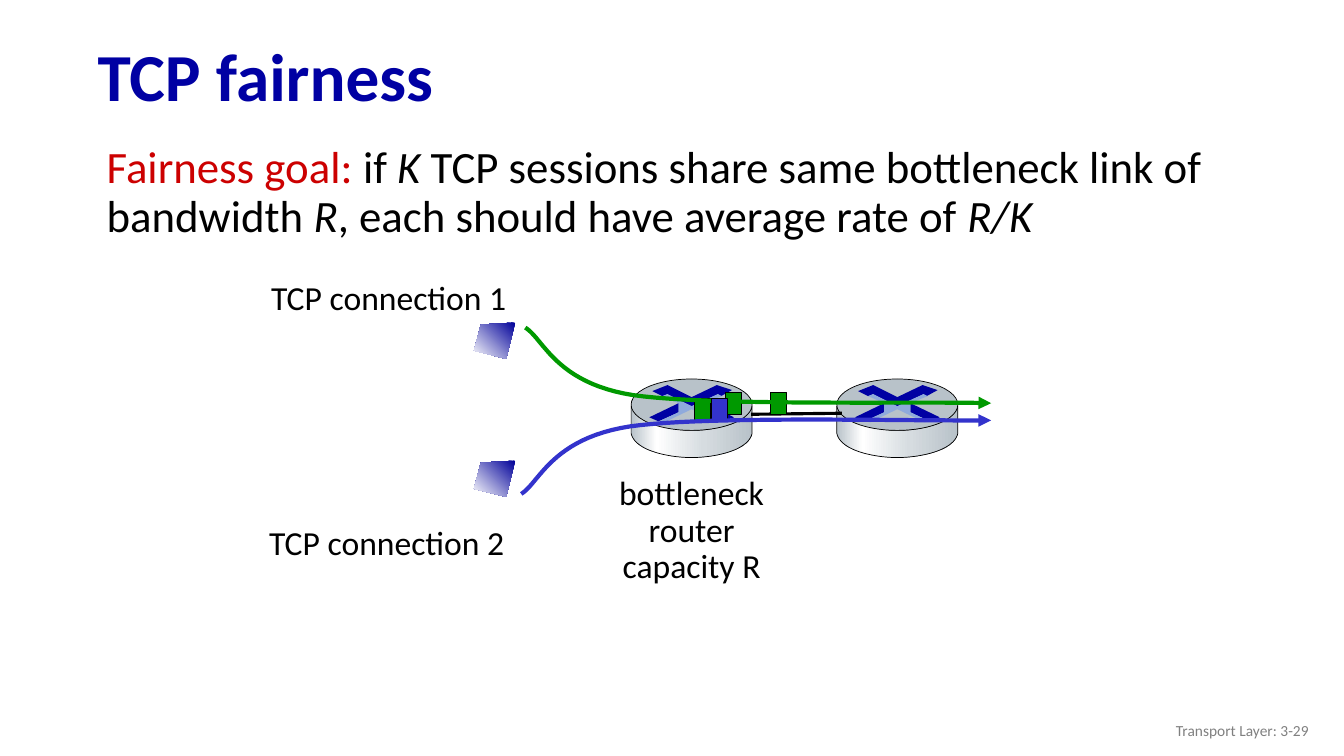
import lxml.etree
import pptx
import pptx.dml.color
import pptx.enum.shapes
import pptx.enum.text
import pptx.oxml.ns
import pptx.util

Inches = pptx.util.Inches
RGBColor = pptx.dml.color.RGBColor
Align = pptx.enum.text.PP_ALIGN
Anchor = pptx.enum.text.MSO_ANCHOR
Preset = pptx.enum.shapes.MSO_SHAPE
qn = pptx.oxml.ns.qn

BLACK = RGBColor(0x00, 0x00, 0x00)
GRAY = RGBColor(0x80, 0x80, 0x80)
NAVY = RGBColor(0x00, 0x00, 0xA3)
RED = RGBColor(0xCC, 0x00, 0x00)
GREEN = RGBColor(0x00, 0x99, 0x00)
BLUE = RGBColor(0x33, 0x33, 0xCC)
STEEL = RGBColor(0xB8, 0xC2, 0xC9)
SILVER = RGBColor(0xD6, 0xDC, 0xE0)
WHITE = RGBColor(0xFF, 0xFF, 0xFF)
SCREEN_BLUE = RGBColor(0x00, 0x00, 0x99)
PALE_BLUE = RGBColor(0x8F, 0xAA, 0xDC)

ROUTER_BODY = [(1.2, 0.27), (1.2, 0.54), (1.16, 0.72, 0.8, 0.78, 0.6, 0.78),
               (0.4, 0.78, 0.04, 0.72, 0, 0.54), (0, 0.27),
               (0.06, 0.43, 0.4, 0.51, 0.6, 0.51), (0.8, 0.51, 1.15, 0.45, 1.2, 0.27)]
ROUTER_MARKS = [
    ([(0.85, 0.06), (1.0, 0.11), (0.89, 0.17), (0.86, 0.15), (0.6, 0.27), (0.36, 0.15),
      (0.31, 0.17), (0.21, 0.12), (0.36, 0.06), (0.6, 0.18)], NAVY),
    ([(0.73, 0.24), (1.02, 0.38), (0.92, 0.42), (0.73, 0.33)], NAVY),
    ([(0.47, 0.24), (0.47, 0.33), (0.27, 0.42), (0.18, 0.38)], NAVY),
    ([(0.31, 0.17), (0.36, 0.15), (0.6, 0.27), (0.86, 0.15), (0.9, 0.17), (0.73, 0.24),
      (0.73, 0.33), (0.92, 0.42), (0.87, 0.43), (0.6, 0.3), (0.33, 0.43), (0.28, 0.42),
      (0.47, 0.33), (0.47, 0.24)], PALE_BLUE),
]
SCREEN = [(0.41, 0), (0.07, 0.02), (0, 0.28), (0.32, 0.36)]


def flatten(path, steps=24):
    """Turn points and cubic segments into a list of points."""
    points = [path[0]]
    for part in path[1:]:
        if len(part) == 2:
            points.append(part)
            continue
        corners = [points[-1], part[:2], part[2:4], part[4:]]
        for step in range(1, steps + 1):
            t = step / steps
            weights = ((1 - t) ** 3, 3 * t * (1 - t) ** 2, 3 * t * t * (1 - t), t ** 3)
            points.append(tuple(sum(w * corner[axis] for w, corner in zip(weights, corners))
                                for axis in (0, 1)))
    return points


def draw_outline(page, left, top, path, close=True):
    """Add a freeform whose path is measured from left and top."""
    points = [(Inches(left + x), Inches(top + y)) for x, y in flatten(path)]
    builder = page.shapes.build_freeform(*points[0])
    builder.add_line_segments(points[1:], close=close)
    shape = builder.convert_to_shape()
    shape.shadow.inherit = False
    return shape


def style(shape, fill, line=None, width=0.5):
    """Give a shape a solid fill and an optional line."""
    shape.shadow.inherit = False
    shape.fill.solid()
    shape.fill.fore_color.rgb = fill
    set_line(shape, line, width)


def set_line(shape, color, width):
    """Set or remove the line of a shape."""
    if color is None:
        shape.line.fill.background()
    else:
        shape.line.color.rgb = color
        shape.line.width = pptx.util.Pt(width)


def set_gradient(shape, stops, angle):
    """Fill a shape with a linear gradient of percent and colour stops."""
    shape.fill.gradient()
    shape.fill.gradient_angle = angle
    stop_list = shape.element.spPr.find(".//" + qn("a:gsLst"))
    for old in list(stop_list):
        stop_list.remove(old)
    for percent, color in stops:
        stop = lxml.etree.SubElement(stop_list, qn("a:gs"), pos=str(percent * 1000))
        lxml.etree.SubElement(stop, qn("a:srgbClr"), val=str(color))


def draw_text(page, box, paragraphs, size, align=Align.LEFT, anchor=Anchor.TOP,
              spacing=1.0, wrap=True):
    """Add a text box from paragraphs of (text, colour, bold, italic) runs."""
    frame = page.shapes.add_textbox(*map(Inches, box)).text_frame
    frame.word_wrap = wrap
    frame.vertical_anchor = anchor
    for index, spans in enumerate(paragraphs):
        para = frame.add_paragraph() if index else frame.paragraphs[0]
        para.alignment = align
        para.line_spacing = spacing
        for text, color, bold, italic in spans:
            span = para.add_run()
            span.text = text
            span.font.name = "Calibri"
            span.font.size = pptx.util.Pt(size)
            span.font.bold = bold
            span.font.italic = italic
            span.font.color.rgb = color


def plain(text, color=BLACK, bold=False, italic=False):
    """Describe one run."""
    return text, color, bold, italic


def draw_heading(page, left, top):
    """Add the title and the statement of the goal."""
    draw_text(page, (left, top, 12.46, 0.98), [[plain("TCP fairness", NAVY, bold=True)]], 48,
              anchor=Anchor.MIDDLE, spacing=0.9)
    goal = [plain("Fairness goal:", RED), plain(" if"), plain(" K ", italic=True),
            plain("TCP sessions share same bottleneck link of bandwidth "),
            plain("R", italic=True), plain(", each should have average rate of "),
            plain("R/K", italic=True)]
    draw_text(page, (left + 0.09, top + 1.09, 11.13, 1.19), [goal], 32, spacing=0.9)


def draw_router(page, left, top):
    """Add a router drawn as a cylinder with crossed arrows."""
    body = draw_outline(page, left, top, ROUTER_BODY)
    set_gradient(body, [(0, STEEL), (21, WHITE), (60, SILVER), (100, STEEL)], 0)
    set_line(body, BLACK, 0.5)
    lid = page.shapes.add_shape(Preset.OVAL, *map(Inches, (left, top, 1.2, 0.51)))
    style(lid, STEEL, BLACK)
    for path, color in ROUTER_MARKS:
        style(draw_outline(page, left, top, path), color)


def draw_screen(page, left, top):
    """Add the screen of a host."""
    screen = draw_outline(page, left, top, SCREEN)
    set_gradient(screen, [(0, SCREEN_BLUE), (100, WHITE)], 225)
    set_line(screen, None, 0)


def draw_packet(page, left, top, color):
    """Add one packet."""
    packet = page.shapes.add_shape(Preset.RECTANGLE, *map(Inches, (left, top, 0.16, 0.22)))
    style(packet, color, BLACK, 0.75)


def draw_flow(page, left, top, path, color):
    """Add a curved arrow along a connection."""
    flow = draw_outline(page, left, top, path, close=False)
    flow.fill.background()
    set_line(flow, color, 3)
    lxml.etree.SubElement(flow.line._get_or_add_ln(), qn("a:tailEnd"), type="triangle")


def draw_network(page, left, top):
    """Add hosts, routers, packets, flows and their labels."""
    for router_left in (5.73, 3.69):
        draw_router(page, left + router_left, top + 1.06)
    ends = (left + 4.88, top + 1.41, left + 5.78, top + 1.4)
    link = page.shapes.add_connector(pptx.enum.shapes.MSO_CONNECTOR.STRAIGHT,
                                     *map(Inches, ends))
    set_line(link, BLACK, 2.25)
    lxml.etree.SubElement(link.element.spPr, qn("a:effectLst"))
    for packet_left, packet_top in ((5.07, 1.19), (4.32, 1.25), (4.63, 1.19)):
        draw_packet(page, left + packet_left, top + packet_top, GREEN)
    draw_flow(page, left + 2.64, top + 0.55,
              [(0, 0), (0.18, 0.11, 0.3, 0.55, 1.07, 0.67),
               (1.84, 0.78, 3.89, 0.73, 4.62, 0.75)], GREEN)
    draw_packet(page, left + 4.49, top + 1.25, BLUE)
    draw_flow(page, left + 2.6, top + 2.2,
              [(0, 0), (0.18, -0.11, 0.3, -0.55, 1.08, -0.67),
               (1.85, -0.78, 3.92, -0.72, 4.66, -0.73)], BLUE)
    for screen_top in (0.5, 1.87):
        draw_screen(page, left + 2.13, top + screen_top)
    for number, label_left, label_top in ((1, 0.02, 0), (2, 0, 2.43)):
        draw_text(page, (left + label_left, top + label_top, 2.56, 0.5),
                  [[plain(f"TCP connection {number}")]], 24, wrap=False)
    draw_text(page, (left + 3.46, top + 1.98, 1.66, 1.19),
              [[plain(line)] for line in ("bottleneck", "router", "capacity R")], 24,
              align=Align.CENTER, spacing=0.9, wrap=False)


def main():
    """Build and save the deck."""
    deck = pptx.Presentation()
    deck.slide_width, deck.slide_height = Inches(13.33), Inches(7.5)
    page = deck.slides.add_slide(deck.slide_layouts[6])
    draw_heading(page, 0.87, 0.3)
    draw_network(page, 2.57, 2.7)
    draw_text(page, (10.08, 7.05, 3, 0.4), [[plain("Transport Layer: 3-29", GRAY)]], 11,
              align=Align.RIGHT, anchor=Anchor.MIDDLE)
    deck.save("out.pptx")


if __name__ == "__main__":
    main()
